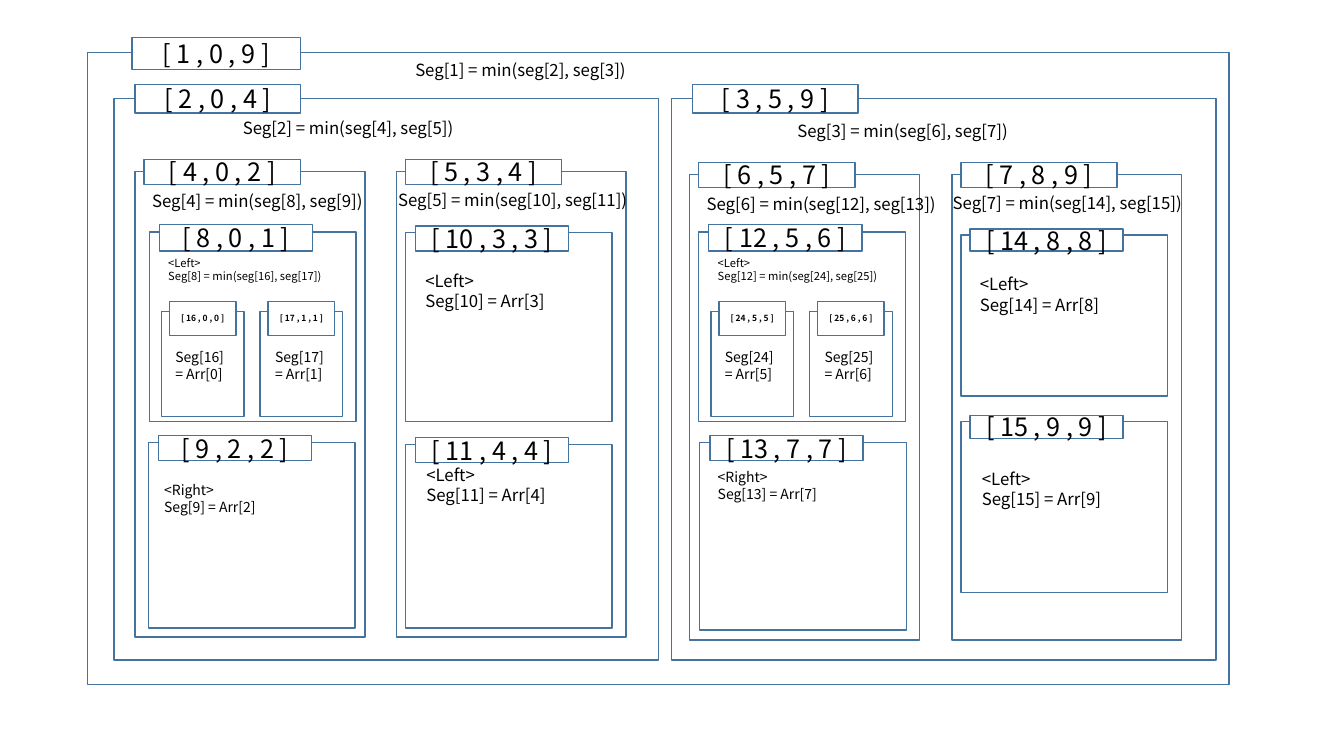
from pptx import Presentation, util as u
from pptx.dml.color import RGBColor
from pptx.enum import shapes, text

FONT = "Noto Sans CJK KR"
BLACK, WHITE, BLUE = "000000", "FFFFFF", "43739E"

# node: first, last, frame left, frame top, frame height, note box, side
SEGMENTS = {
    1: (0, 9, 0.87, 0.52, 6.27, (4.02, 0.54, 2.32, 0.3), ""),
    2: (0, 4, 1.13, 0.98, 5.57, (2.31, 1.12, 2.32, 0.3), ""),
    3: (5, 9, 6.66, 0.98, 5.57, (7.81, 1.15, 2.32, 0.3), ""),
    4: (0, 2, 1.34, 1.7, 4.62, (1.41, 1.84, 2.32, 0.3), ""),
    5: (3, 4, 3.93, 1.7, 4.62, (3.85, 1.83, 2.51, 0.3), ""),
    6: (5, 7, 6.84, 1.73, 4.62, (6.91, 1.87, 2.51, 0.3), ""),
    7: (8, 9, 9.44, 1.73, 4.62, (9.35, 1.86, 2.51, 0.3), ""),
    8: (0, 1, 1.48, 2.3, 1.88, (1.57, 2.49, 1.79, 0.37), "<Left>"),
    9: (2, 2, 1.47, 4.39, 1.84, (1.53, 4.73, 1.79, 0.45), "<Right>"),
    10: (3, 3, 4.02, 2.31, 1.87, (4.12, 2.64, 1.43, 0.5), "<Left>"),
    11: (4, 4, 4.02, 4.41, 1.82, (4.13, 4.56, 1.43, 0.5), "<Left>"),
    12: (5, 6, 6.93, 2.3, 1.88, (7.02, 2.49, 1.79, 0.37), "<Left>"),
    13: (7, 7, 6.94, 4.39, 1.86, (7.02, 4.6, 1.79, 0.45), "<Right>"),
    14: (8, 8, 9.53, 2.33, 1.6, (9.62, 2.67, 1.43, 0.5), "<Left>"),
    15: (9, 9, 9.53, 4.18, 1.7, (9.64, 4.6, 1.43, 0.5), "<Left>"),
    16: (0, 0, 1.6, 3.09, 1.04, (1.64, 3.41, 0.71, 0.44), ""),
    17: (1, 1, 2.58, 3.09, 1.04, (2.63, 3.41, 0.71, 0.44), ""),
    24: (5, 5, 7.05, 3.09, 1.04, (7.09, 3.41, 0.71, 0.44), ""),
    25: (6, 6, 8.03, 3.09, 1.04, (8.08, 3.41, 0.71, 0.44), ""),
}
# depth: frame width, label offset x, label offset y, label width, label height
LEVELS = {
    1: (11.32, 0.44, -0.15, 1.67, 0.32),
    2: (5.4, 0.21, -0.14, 1.64, 0.28),
    3: (2.28, 0.09, -0.12, 1.55, 0.25),
    4: (2.05, 0.1, -0.07, 1.52, 0.25),
    5: (0.82, 0.08, -0.1, 0.66, 0.34),
}
LABEL_HEIGHTS = {8: 0.26, 12: 0.26, 14: 0.22, 15: 0.23}
NOTE_SIZES = {0.3: 12, 0.5: 12, 0.45: 10, 0.44: 10, 0.37: 8}

deck = Presentation()
deck.slide_width, deck.slide_height = u.Inches(13.33), u.Inches(7.5)
slide = deck.slides.add_slide(deck.slide_layouts[6])


def color(value):
    return RGBColor.from_string(value)


def inches(box):
    return [u.Inches(length) for length in box]


def write(shape, words, size, bold=False, align=text.PP_ALIGN.LEFT,
          anchor=text.MSO_ANCHOR.TOP, wrap=True, grow=False):
    frame = shape.text_frame
    frame.word_wrap = wrap
    frame.vertical_anchor = anchor
    if grow:
        frame.auto_size = text.MSO_AUTO_SIZE.SHAPE_TO_FIT_TEXT
    paragraph = frame.paragraphs[0]
    paragraph.text = words
    paragraph.alignment = align
    for run in paragraph.runs:
        run.font.name, run.font.size, run.font.bold = FONT, u.Pt(size), bold
        run.font.color.rgb = color(BLACK)


def outline(box, fill=None):
    rect = slide.shapes.add_shape(shapes.MSO_SHAPE.RECTANGLE, *inches(box))
    rect.shadow.inherit = False
    rect.line.color.rgb = color(BLUE)
    rect.line.width = u.Pt(1)
    if fill:
        rect.fill.solid()
        rect.fill.fore_color.rgb = color(fill)
    else:
        rect.fill.background()
    return rect


for node, (first, last, left, top, height, note_box, side) in SEGMENTS.items():
    depth = node.bit_length()
    width, dx, dy, label_width, label_height = LEVELS[depth]
    label_height = LABEL_HEIGHTS.get(node, label_height)
    if node in (14, 15):
        dx, dy = 0.09, -0.06

    outline((left, top, width, height))
    label = outline((left + dx, top + dy, label_width, label_height), WHITE)
    innermost = depth == 5
    write(label, f"[ {node} , {first} , {last} ]", 6 if innermost else 18,
          bold=innermost, align=text.PP_ALIGN.CENTER,
          anchor=text.MSO_ANCHOR.MIDDLE)

    if first == last:
        value = f"Arr[{first}]"
    else:
        value = f"min(seg[{2 * node}], seg[{2 * node + 1}])"
    formula = f"Seg[{node}] = {value}"
    size = NOTE_SIZES[note_box[3]]
    note = slide.shapes.add_textbox(*inches(note_box))
    write(note, f"{side}\v{formula}" if side else formula, size,
          wrap=size < 12, grow=True)

deck.save("out.pptx")
